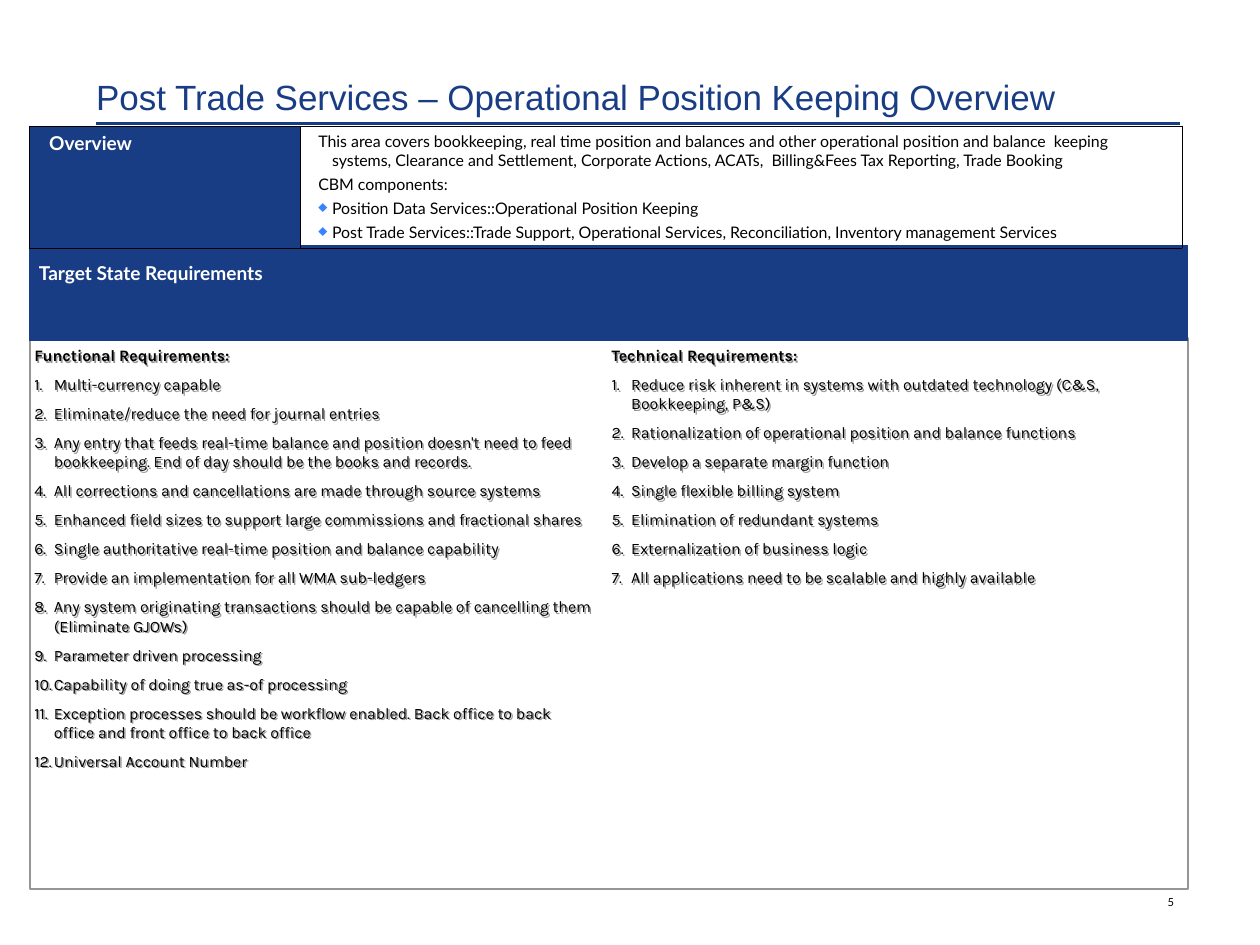
from dataclasses import dataclass

import pptx
import pptx.dml.color
import pptx.enum.shapes
import pptx.enum.text
import pptx.oxml
import pptx.oxml.ns
import pptx.util
from pptx.util import Inches

COLORS = {"navy": "193D85", "gray": "969696", "black": "000000",
          "white": "FFFFFF", "blue": "3783FF"}
NAMESPACE = pptx.oxml.ns.nsdecls("a")
ANCHOR = pptx.enum.text.MSO_ANCHOR
ALIGN = pptx.enum.text.PP_ALIGN


@dataclass
class Style:
    size: float
    font: str = "Lato"
    color: str = "black"
    bold: bool = False


@dataclass
class Box:
    left: float
    top: float
    width: float
    height: float

    def lengths(self) -> tuple:
        return tuple(Inches(n) for n in (self.left, self.top, self.width, self.height))


@dataclass
class RequirementList:
    box: Box
    heading: str
    items: list[str]


REQUIREMENTS = [
    RequirementList(Box(5.34, 3.02, 4.91, 4.31), "Technical Requirements:", [
        "Reduce risk inherent in systems with outdated technology (C&S, Bookkeeping, P&S)",
        "Rationalization of operational position and balance functions",
        "Develop a separate margin function",
        "Single flexible billing system",
        "Elimination of redundant systems",
        "Externalization of business logic",
        "All applications need to be scalable and highly available",
    ]),
    RequirementList(Box(0.3, 3.02, 4.87, 4.81), "Functional Requirements:", [
        "Multi-currency capable",
        "Eliminate/reduce the need for journal entries",
        "Any entry that feeds real-time balance and position doesn't need to feed "
        "bookkeeping. End of day should be the books and records.",
        "All corrections and cancellations are made through source systems",
        "Enhanced field sizes to support large commissions and fractional shares",
        "Single authoritative real-time position and balance capability",
        "Provide an implementation for all WMA sub-ledgers",
        "Any system originating transactions should be capable of cancelling them "
        "(Eliminate GJOWs)",
        "Parameter driven processing",
        "Capability of doing true as-of processing",
        "Exception processes should be workflow enabled. Back office to back office "
        "and front office to back office",
        "Universal Account Number",
    ]),
]
OVERVIEW_NOTES = [
    "This area covers bookkeeping, real time position and balances and other operational "
    "position and balance  keeping systems, Clearance and Settlement, Corporate Actions, "
    "ACATs,  Billing&Fees Tax Reporting, Trade Booking",
    "CBM components:",
]
OVERVIEW_COMPONENTS = [
    "Position Data Services::Operational Position Keeping",
    "Post Trade Services::Trade Support, Operational Services, Reconciliation, "
    "Inventory management Services",
]
NUMBERED = '<a:buAutoNum {} type="arabicPeriod"/>'.format(NAMESPACE)
DIAMOND = '<a:buChar {} char="♦"/>'.format(NAMESPACE)


def rgb(name: str) -> pptx.dml.color.RGBColor:
    return pptx.dml.color.RGBColor.from_string(COLORS[name])


def add_paragraph(text_frame, text: str, style: Style, indent: tuple = (0, 0),
                  space: float = 0, bullet: str = "", bullet_color: str = "black"):
    """Fill the empty first paragraph, or append another one."""
    paragraph = text_frame.paragraphs[0]
    if paragraph.runs:
        paragraph = text_frame.add_paragraph()
        paragraph.space_before = pptx.util.Pt(space)
    properties = paragraph._p.get_or_add_pPr()
    properties.set("marL", str(Inches(indent[0])))
    properties.set("indent", str(Inches(indent[1])))
    if bullet:
        properties.append(pptx.oxml.parse_xml(
            f'<a:buClr {NAMESPACE}><a:srgbClr val="{COLORS[bullet_color]}"/></a:buClr>'))
        properties.append(pptx.oxml.parse_xml(bullet))
    paragraph.text = text
    for run in paragraph.runs:
        run.font.size = pptx.util.Pt(style.size)
        run.font.name = style.font
        run.font.bold = style.bold
        run.font.color.rgb = rgb(style.color)
    return paragraph


def add_text_box(slide, box: Box, wrap: bool = True, anchor=ANCHOR.TOP):
    shape = slide.shapes.add_textbox(*box.lengths())
    text_frame = shape.text_frame
    text_frame.word_wrap = wrap
    text_frame.vertical_anchor = anchor
    text_frame.margin_left = text_frame.margin_right = 0
    text_frame.margin_top = text_frame.margin_bottom = 0
    return shape


def add_rectangle(slide, box: Box, line: str, width: float, fill: str = "") -> None:
    shape = slide.shapes.add_shape(pptx.enum.shapes.MSO_SHAPE.RECTANGLE, *box.lengths())
    shape.shadow.inherit = False
    shape.line.color.rgb = rgb(line)
    shape.line.width = pptx.util.Pt(width)
    if fill:
        shape.fill.solid()
        shape.fill.fore_color.rgb = rgb(fill)
    else:
        shape.fill.background()


def add_requirements(slide, requirements: RequirementList) -> None:
    shape = add_text_box(slide, requirements.box)
    # The unfilled box casts its shadow from the lettering
    shape._element.spPr.append(pptx.oxml.parse_xml(
        f'<a:effectLst {NAMESPACE}><a:outerShdw dist="{pptx.util.Pt(1.4)}" dir="2700000">'
        f'<a:srgbClr val="{COLORS["gray"]}"/></a:outerShdw></a:effectLst>'))
    hanging = (0.17, -0.17)
    add_paragraph(shape.text_frame, requirements.heading,
                  Style(10, "Karla", bold=True), hanging)
    for item in requirements.items:
        add_paragraph(shape.text_frame, item, Style(10, "Karla"), hanging, 6.2, NUMBERED)


def add_overview(slide) -> None:
    frame = slide.shapes.add_table(1, 2, *Box(0.26, 1.1, 10.06, 0.99).lengths())
    table = frame.table
    table.first_row = table.horz_banding = False
    for column, width in zip(table.columns, (2.36, 7.7)):
        column.width = Inches(width)
    label, notes = table.cell(0, 0), table.cell(0, 1)
    for cell, fill in ((label, "navy"), (notes, "")):
        properties = cell._tc.get_or_add_tcPr()
        for side in ("lnL", "lnR", "lnT", "lnB"):
            properties.append(pptx.oxml.parse_xml(
                f'<a:{side} {NAMESPACE} w="{pptx.util.Pt(0.45)}"><a:solidFill>'
                f'<a:srgbClr val="{COLORS["black"]}"/></a:solidFill></a:{side}>'))
        if fill:
            cell.fill.solid()
            cell.fill.fore_color.rgb = rgb(fill)
        else:
            cell.fill.background()
    add_paragraph(label.text_frame, "Overview", Style(12, color="white", bold=True), (0.07, 0))
    hanging = (0.18, -0.12)
    for text in OVERVIEW_NOTES:
        add_paragraph(notes.text_frame, text, Style(10), hanging, 3.1)
    for text in OVERVIEW_COMPONENTS:
        add_paragraph(notes.text_frame, text, Style(10), hanging, 3.1, DIAMOND, "blue")


def main() -> None:
    presentation = pptx.Presentation()
    presentation.slide_width = Inches(11)
    presentation.slide_height = Inches(8.25)
    slide = presentation.slides.add_slide(presentation.slide_layouts[6])

    # Title and its rule
    rule = slide.shapes.add_connector(pptx.enum.shapes.MSO_CONNECTOR.STRAIGHT,
                                      Inches(0.84), Inches(1.08), Inches(10.3), Inches(1.08))
    rule.line.color.rgb = rgb("navy")
    rule.line.width = pptx.util.Pt(2)
    rule._element.spPr.append(pptx.oxml.parse_xml(f"<a:effectLst {NAMESPACE}/>"))
    title = add_text_box(slide, Box(0.84, 0, 9.46, 1.03), anchor=ANCHOR.BOTTOM)
    paragraph = add_paragraph(title.text_frame,
                              "Post Trade Services – Operational Position Keeping Overview",
                              Style(22, "Arial", "navy"))
    paragraph.line_spacing = 0.85

    # Requirements panel
    add_rectangle(slide, Box(0.26, 2.95, 10.11, 4.81), "gray", 1)
    add_rectangle(slide, Box(0.26, 2.14, 10.11, 0.83), "navy", 0.75, "navy")
    banner = add_text_box(slide, Box(0.34, 2.28, 2.25, 0.2), wrap=False)
    add_paragraph(banner.text_frame, "Target State Requirements",
                  Style(12, color="white", bold=True))
    for requirements in REQUIREMENTS:
        add_requirements(slide, requirements)

    # Page number
    number = add_text_box(slide, Box(9.8, 7.52, 0.45, 0.41), anchor=ANCHOR.BOTTOM)
    add_paragraph(number.text_frame, "5", Style(7)).alignment = ALIGN.RIGHT

    add_overview(slide)
    presentation.save("out.pptx")


if __name__ == "__main__":
    main()
